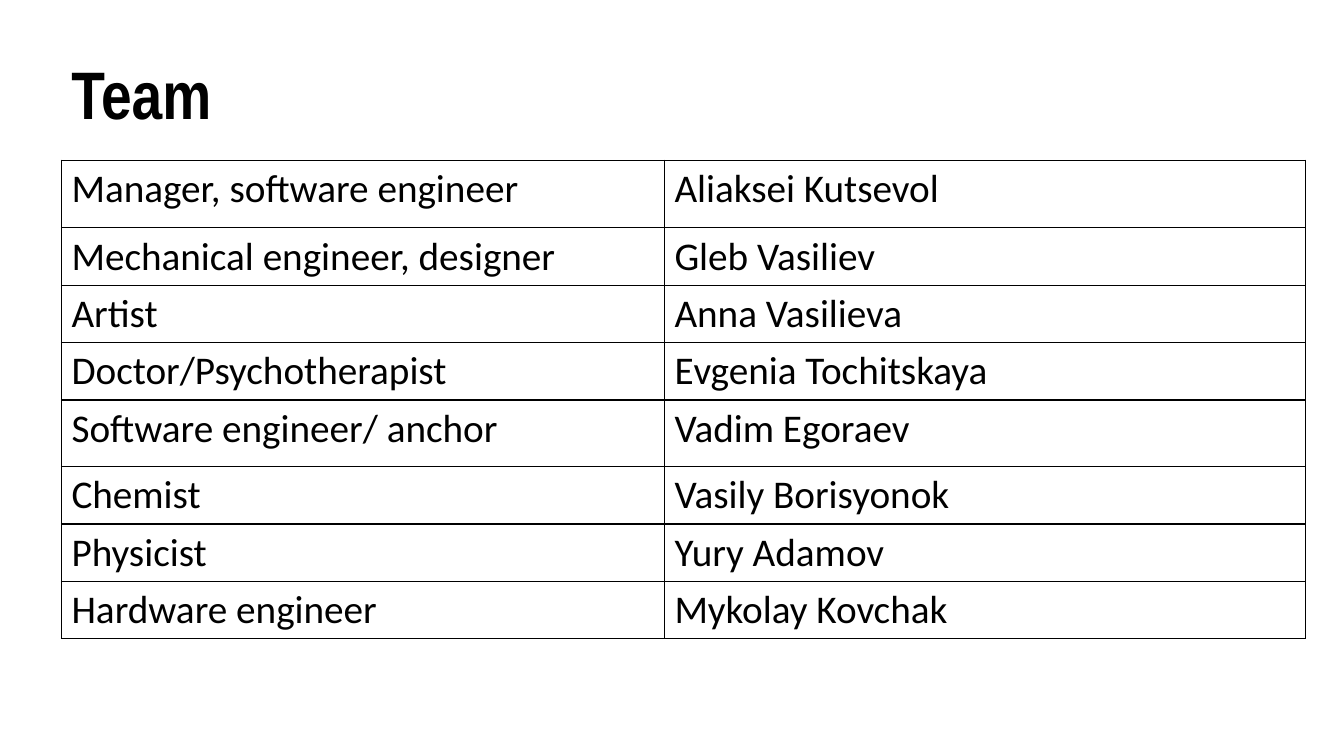
"""Build the Team slide: a title above a bordered table of roles and names."""
from lxml.etree import SubElement
from pptx import Presentation
from pptx.dml.color import RGBColor
from pptx.enum.text import MSO_ANCHOR
from pptx.oxml.ns import qn
from pptx.util import Inches, Pt

BLACK = RGBColor(0x00, 0x00, 0x00)
LEFT, WIDTH = Inches(0.61), Inches(12.34)
COLUMN_WIDTHS = [5.98, 6.36]
TEAM = [
    ("Manager, software engineer", "Aliaksei Kutsevol", 0.67),
    ("Mechanical engineer, designer", "Gleb Vasiliev", 0.57),
    ("Artist", "Anna Vasilieva", 0.57),
    ("Doctor/Psychotherapist", "Еvgenia Tochitskaya", 0.57),
    ("Software engineer/ anchor", "Vadim Egoraev", 0.66),
    ("Chemist", "Vasily Borisyonok", 0.57),
    ("Physicist", "Yury Adamov", 0.57),
    ("Hardware engineer", "Mykolay Kovchak", 0.57),
]


def write(text_frame, text, size, font_name, bold=False):
    paragraph = text_frame.paragraphs[0]
    run = paragraph.add_run()
    run.text = text
    run.font.size = Pt(size)
    run.font.name = font_name
    run.font.bold = bold
    run.font.color.rgb = BLACK


def add_borders(cell):
    properties = cell._tc.get_or_add_tcPr()
    for side in ("a:lnL", "a:lnR", "a:lnT", "a:lnB"):
        line = SubElement(properties, qn(side), w=str(Pt(1)))
        fill = SubElement(line, qn("a:solidFill"))
        SubElement(fill, qn("a:srgbClr"), val=str(BLACK))


presentation = Presentation()
presentation.slide_width = Inches(13.33)
presentation.slide_height = Inches(7.5)
slide = presentation.slides.add_slide(presentation.slide_layouts[6])

title = slide.shapes.add_textbox(LEFT, Inches(0.47), WIDTH, Inches(1.3))
title.text_frame.word_wrap = True
title.text_frame.vertical_anchor = MSO_ANCHOR.TOP
write(title.text_frame, "Team", size=48, font_name="Arial Narrow", bold=True)

table_height = Inches(sum(height for _, _, height in TEAM))
table = slide.shapes.add_table(
    len(TEAM), len(COLUMN_WIDTHS), LEFT, Inches(1.59), WIDTH, table_height
).table
table.first_row = False
table.horz_banding = False
for column, width in zip(table.columns, COLUMN_WIDTHS):
    column.width = Inches(width)
for row, (role, person, height) in zip(table.rows, TEAM):
    row.height = Inches(height)
    for cell, text in zip(row.cells, (role, person)):
        add_borders(cell)
        cell.fill.background()
        write(cell.text_frame, text, size=28, font_name="Calibri")

presentation.save("out.pptx")
